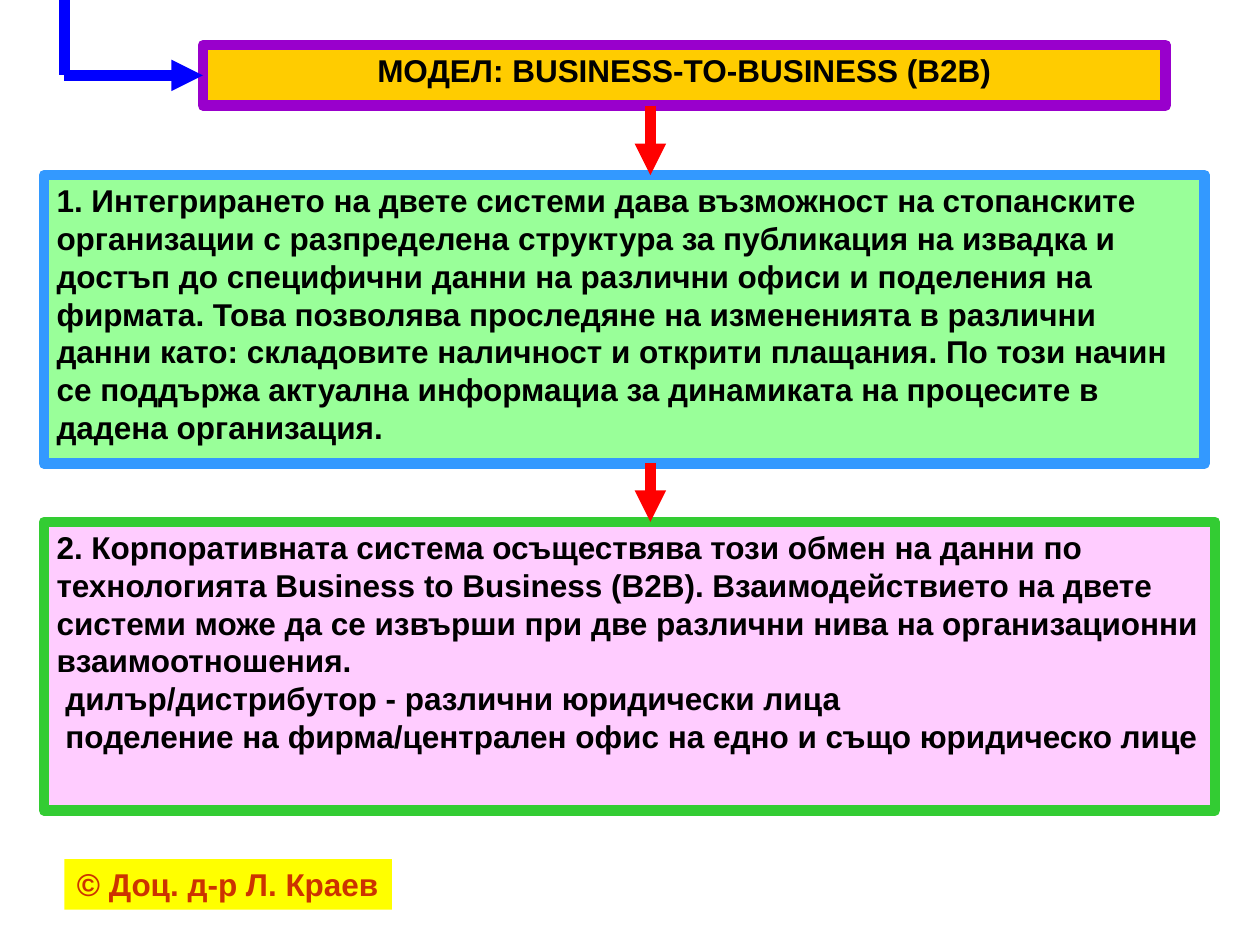
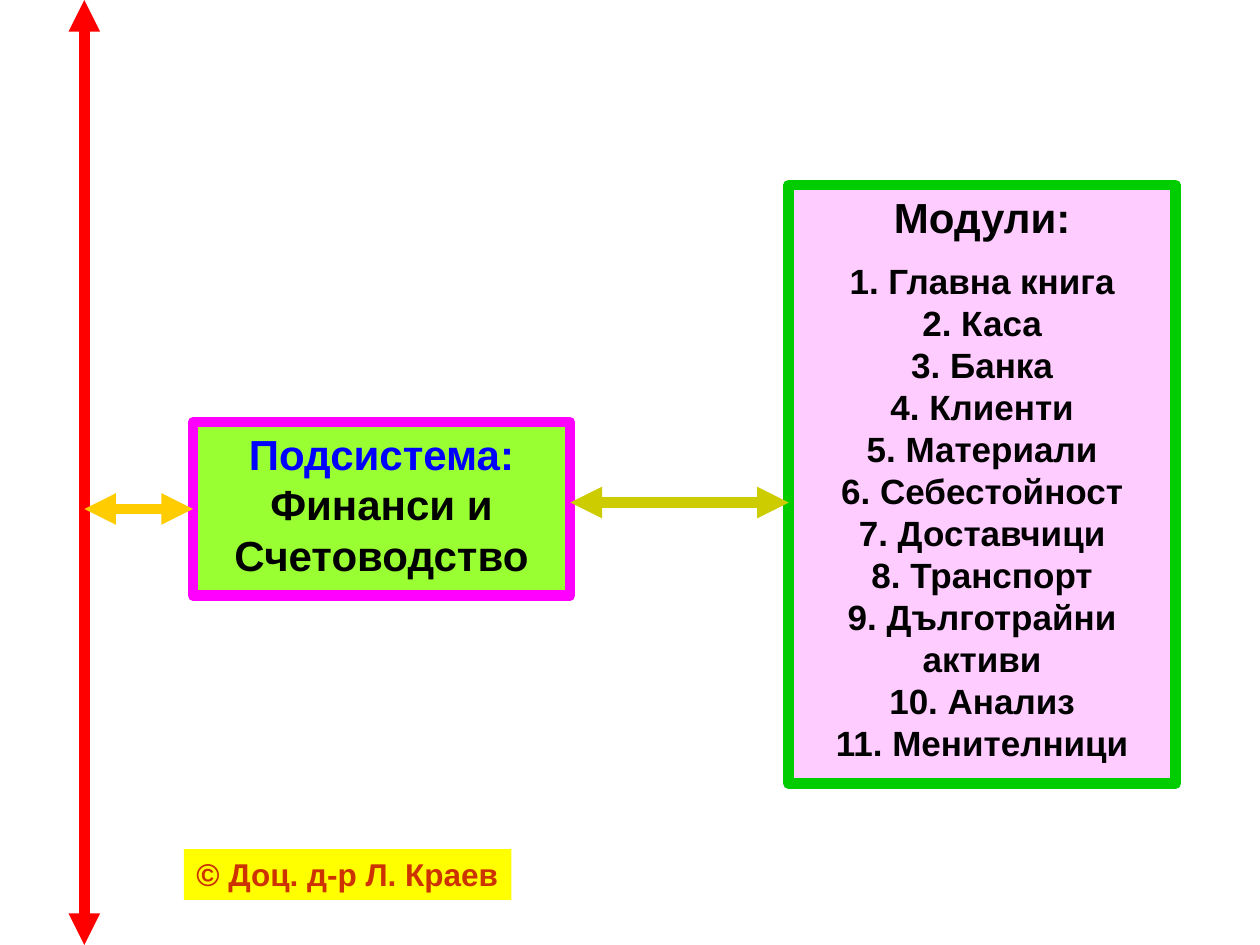
"""Build two slides on a B2B model and the finance subsystem of a business system."""
from lxml import etree
from pptx import Presentation
from pptx.dml.color import RGBColor
from pptx.enum.shapes import MSO_CONNECTOR, MSO_SHAPE
from pptx.enum.text import MSO_ANCHOR, MSO_AUTO_SIZE, PP_ALIGN
from pptx.oxml.ns import qn
from pptx.util import Cm, Pt

RECTANGLE = MSO_SHAPE.RECTANGLE
STRAIGHT = MSO_CONNECTOR.STRAIGHT
TOP = MSO_ANCHOR.TOP
FIXED = MSO_AUTO_SIZE.NONE
LEFT, CENTER = PP_ALIGN.LEFT, PP_ALIGN.CENTER
FONT = "Arial"
BORDER = Pt(6)
BLACK, BLUE, RED, PINK = "000000", "0000FF", "FF0000", "FFCCFF"
CREDIT_TEXT, CREDIT_FILL, CREDIT_INK = "© Доц. д-р Л. Краев", "FFFF00", "CC3300"
LEFT_SIDE = 1


def format_box(box, place, fill, border, paragraphs, align=LEFT, wrap=True):
    """Place and colour a box; a paragraph is (runs, indent, space before)."""
    box.left, box.top, box.width, box.height = [Cm(value) for value in place]
    box.shadow.inherit = False
    box.fill.solid()
    box.fill.fore_color.rgb = RGBColor.from_string(fill)
    if border:
        box.line.color.rgb = RGBColor.from_string(border)
        box.line.width = BORDER
    else:
        box.line.fill.background()
    frame = box.text_frame
    frame.auto_size, frame.word_wrap, frame.vertical_anchor = FIXED, wrap, TOP
    for index, (runs, indent, space) in enumerate(paragraphs):
        para = frame.add_paragraph() if index else frame.paragraphs[0]
        properties = para._p.get_or_add_pPr()
        properties.set("marL", str(Cm(indent)))
        properties.set("indent", "0")
        etree.SubElement(properties, qn("a:buNone"))
        para.alignment = align
        para.space_before = Pt(space)
        for text, size, color in runs:
            for number, line in enumerate(text.split("\n")):
                if number:
                    para.add_line_break()
                if line:
                    span = para.add_run()
                    span.text = line
                    span.font.name, span.font.size, span.font.bold = FONT, Pt(size), True
                    span.font.color.rgb = RGBColor.from_string(color)


def add_line(page, ends, color, heads=()):
    """Draw a thick line with triangles at the named ends."""
    connector = page.shapes.add_connector(STRAIGHT, *[Cm(value) for value in ends])
    connector.line.color.rgb = RGBColor.from_string(color)
    connector.line.width = BORDER
    properties = connector._element.spPr
    for head in heads:
        etree.SubElement(properties.find(qn("a:ln")), qn(head), type="triangle")
    etree.SubElement(properties, qn("a:effectLst"))
    return connector


END = ("a:tailEnd",)
BOTH = ("a:headEnd", "a:tailEnd")

deck = Presentation()
deck.slide_width, deck.slide_height = Cm(25.4), Cm(19.05)
model_page = deck.slides.add_slide(deck.slide_layouts[5])
finance_page = deck.slides.add_slide(deck.slide_layouts[1])

model = model_page.shapes.title
format_box(model, (4.09, 0.91, 19.41, 1.22), "FFCC00", "9900CC",
           [([("МОДЕЛ: BUSINESS-TO-BUSINESS (B2B)", 18, BLACK)], 0, 0)], CENTER)

integration = (
    "1. Интегрирането на двете системи дава възможност на стопанските организации "
    "с разпределена структура за публикация на извадка и достъп до специфични данни "
    "на различни офиси и поделения на фирмата. Това позволява проследяне на "
    "измененията в различни данни като: складовите наличност и открити плащания. "
    "По този начин се поддържа актуална информациа за динамиката на процесите в "
    "дадена организация.")
exchange = (
    "2. Корпоративната система осъществява този обмен на данни по технологията "
    "Business to Business (В2В). Взаимодействието на двете системи може да се "
    "извърши при две различни нива на организационни взаимоотношения.")
levels = ["дилър/дистрибутор - различни юридически лица",
          "поделение на фирма/централен офис на едно и също юридическо лице"]
format_box(model_page.shapes.add_shape(RECTANGLE, 0, 0, 0, 0),
           (0.89, 3.53, 23.39, 5.82), "99FF99", "3399FF",
           [([(integration, 18, BLACK)], 0, 0)])
format_box(model_page.shapes.add_shape(RECTANGLE, 0, 0, 0, 0),
           (0.89, 10.52, 23.6, 5.82), PINK, "33CC33",
           [([(exchange, 18, BLACK)], 0, 0)]
           + [([(level, 18, BLACK)], 0.18, 0) for level in levels])

add_line(model_page, (1.3, 0, 1.3, 1.52), BLUE)
add_line(model_page, (1.3, 1.52, 4.09, 1.52), BLUE, END).end_connect(model, LEFT_SIDE)
for start, stop in [(2.13, 3.53), (9.33, 10.52)]:
    add_line(model_page, (13.11, start, 13.11, stop), RED, END)

subsystem = finance_page.shapes.title
format_box(subsystem, (3.89, 8.51, 7.6, 3.5), "99FF33", "FF00FF",
           [([("Подсистема:\n", 24, BLUE), ("Финанси и\nСчетоводство", 24, BLACK)], 0, 0)],
           CENTER)
modules = ["Главна книга", "Каса", "Банка", "Клиенти", "Материали", "Себестойност",
           "Доставчици", "Транспорт", "Дълготрайни\nактиви", "Анализ", "Менителници"]
module_list = "\n".join(f"{number}. {name}" for number, name in enumerate(modules, 1))
format_box(finance_page.placeholders[1], (15.9, 3.73, 7.8, 12.07), PINK, "00CC00",
           [([("Модули:", 24, BLACK)], 0, 0), ([(module_list, 20, BLACK)], 0, 10)], CENTER)

add_line(finance_page, (1.7, 0, 1.7, 19.05), RED, BOTH)
add_line(finance_page, (1.7, 10.26, 3.89, 10.26), "FFCC00", BOTH).end_connect(
    subsystem, LEFT_SIDE)
add_line(finance_page, (11.5, 10.13, 15.9, 10.13), "CCCC00", BOTH)

for page, left, top in [(model_page, 1.3, 17.32), (finance_page, 3.71, 17.12)]:
    format_box(page.shapes.add_textbox(0, 0, 0, 0), (left, top, 6.6, 1.02), CREDIT_FILL,
               None, [([(CREDIT_TEXT, 18, CREDIT_INK)], 0, 0)], wrap=False)

deck.save("out.pptx")
